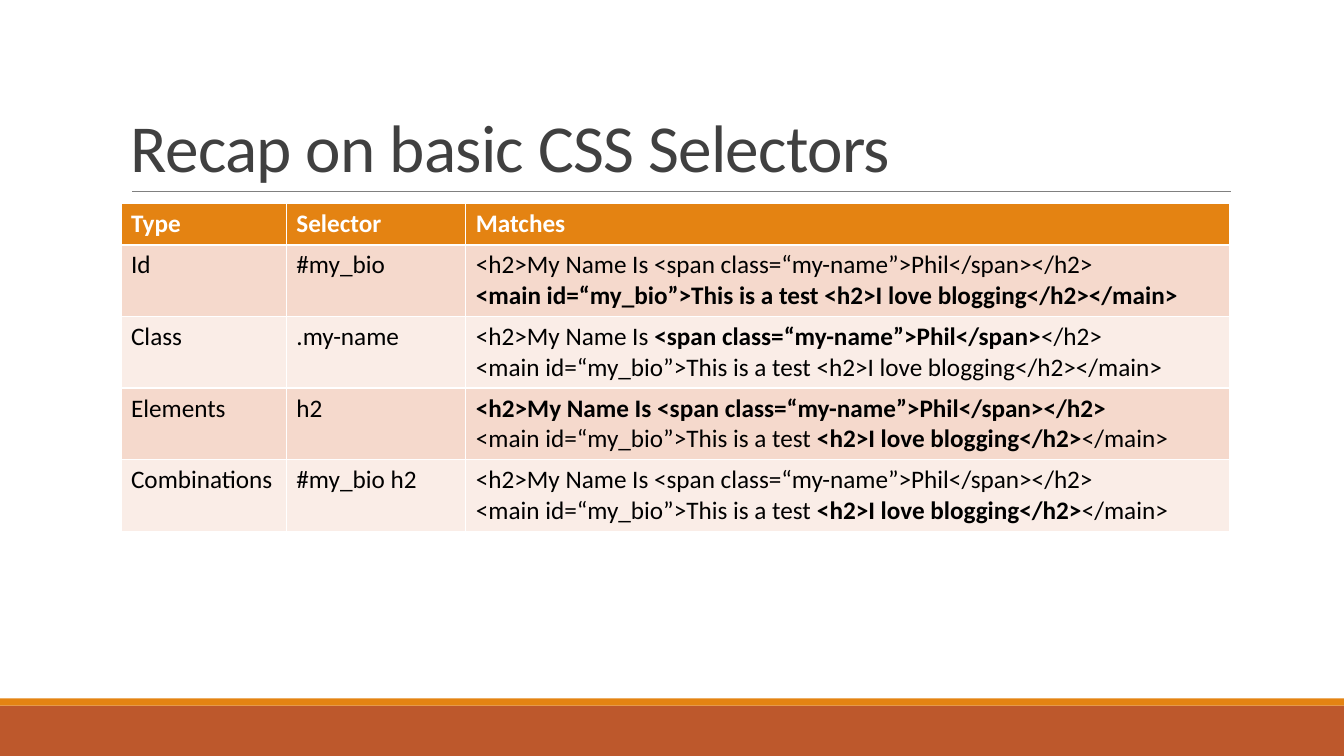
"""Build a slide that recaps the basic CSS selectors in a table."""
from lxml.etree import SubElement
from pptx import Presentation
from pptx.dml.color import RGBColor
from pptx.enum.shapes import MSO_CONNECTOR as Connector, MSO_SHAPE as Shape
from pptx.enum.text import MSO_ANCHOR as Anchor
from pptx.oxml.ns import qn
from pptx.util import Inches, Pt


def color(hex_code):
    return RGBColor.from_string(hex_code)


def style_run(run, size, hex_code, bold=False):
    run.font.name = "Calibri"
    run.font.size = Pt(size)
    run.font.bold = bold
    run.font.color.rgb = color(hex_code)


ORANGE, RUST = "E48312", "BD582C"
BAND_FILLS = ["F5D9CC", "FAEDE7"]
LEFT, CONTENT_WIDTH = Inches(1.2), Inches(11)
COLUMN_WIDTHS = [1.64, 1.78, 7.58]
HEADER_HEIGHT, BODY_HEIGHT = 0.41, 0.71
BOLD_MARK = "*"
ROWS = [
    ("Type", "Selector", "Matches"),
    ("Id", "#my_bio",
     "<h2>My Name Is <span class=“my-name”>Phil</span></h2>\n"
     "*<main id=“my_bio”>This is a test <h2>I love blogging</h2></main>*"),
    ("Class", ".my-name",
     "<h2>My Name Is *<span class=“my-name”>Phil</span>*</h2>\n"
     "<main id=“my_bio”>This is a test <h2>I love blogging</h2></main>"),
    ("Elements", "h2",
     "*<h2>My Name Is <span class=“my-name”>Phil</span></h2>*\n"
     "<main id=“my_bio”>This is a test *<h2>I love blogging</h2>*</main>"),
    ("Combinations", "#my_bio h2",
     "<h2>My Name Is <span class=“my-name”>Phil</span></h2>\n"
     "<main id=“my_bio”>This is a test *<h2>I love blogging</h2>*</main>"),
]

presentation = Presentation()
presentation.slide_width = Inches(13.33)
presentation.slide_height = Inches(7.5)
slide = presentation.slides.add_slide(presentation.slide_layouts[6])
shapes = slide.shapes

for top, height, fill in [(7, 0.5, RUST), (6.93, 0.07, ORANGE)]:
    band = shapes.add_shape(Shape.RECTANGLE, 0, Inches(top),
                            presentation.slide_width, Inches(height))
    band.shadow.inherit = False
    band.fill.solid()
    band.fill.fore_color.rgb = color(fill)
    band.line.fill.background()

title_rule = shapes.add_connector(Connector.STRAIGHT, Inches(1.31), Inches(1.9),
                                  Inches(12.21), Inches(1.9))
title_rule.line.color.rgb = color("808080")
title_rule.line.width = Pt(0.5)
SubElement(title_rule._element.spPr, qn("a:effectLst"))

title = shapes.add_textbox(LEFT, Inches(0.31), CONTENT_WIDTH, Inches(1.59))
title.text_frame.word_wrap = True
title.text_frame.vertical_anchor = Anchor.BOTTOM
title.text_frame.text = "Recap on basic CSS Selectors"
title_paragraph = title.text_frame.paragraphs[0]
title_paragraph.line_spacing = 0.85
title_run = title_paragraph.runs[0]
style_run(title_run, 48, "404040")
title_run.font._element.set("spc", "-50")

table_height = HEADER_HEIGHT + BODY_HEIGHT * (len(ROWS) - 1)
table = shapes.add_table(len(ROWS), len(COLUMN_WIDTHS), LEFT, Inches(2.02),
                         CONTENT_WIDTH, Inches(table_height)).table
for column, width in zip(table.columns, COLUMN_WIDTHS):
    column.width = Inches(width)

for row_index, texts in enumerate(ROWS):
    is_header = row_index == 0
    table.rows[row_index].height = Inches(HEADER_HEIGHT if is_header else BODY_HEIGHT)
    fill = ORANGE if is_header else BAND_FILLS[(row_index - 1) % 2]
    for column_index, text in enumerate(texts):
        cell = table.cell(row_index, column_index)
        cell.fill.solid()
        cell.fill.fore_color.rgb = color(fill)
        cell.text_frame.text = text.replace(BOLD_MARK, "")
        for paragraph, line in zip(cell.text_frame.paragraphs, text.split("\n")):
            paragraph.clear()
            for part_index, part in enumerate(line.split(BOLD_MARK)):
                if part:
                    run = paragraph.add_run()
                    run.text = part
                    style_run(run, 18, "FFFFFF" if is_header else "000000",
                              is_header or part_index % 2 == 1)

presentation.save("out.pptx")
